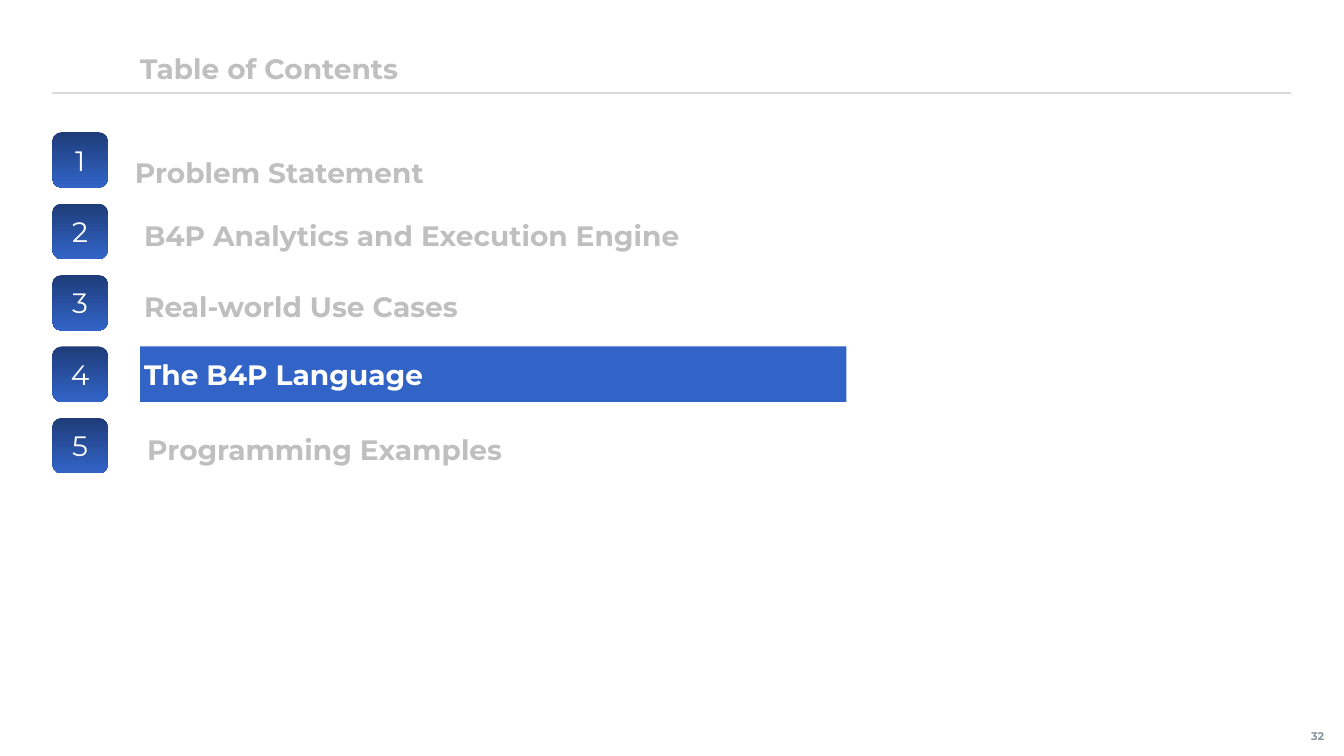
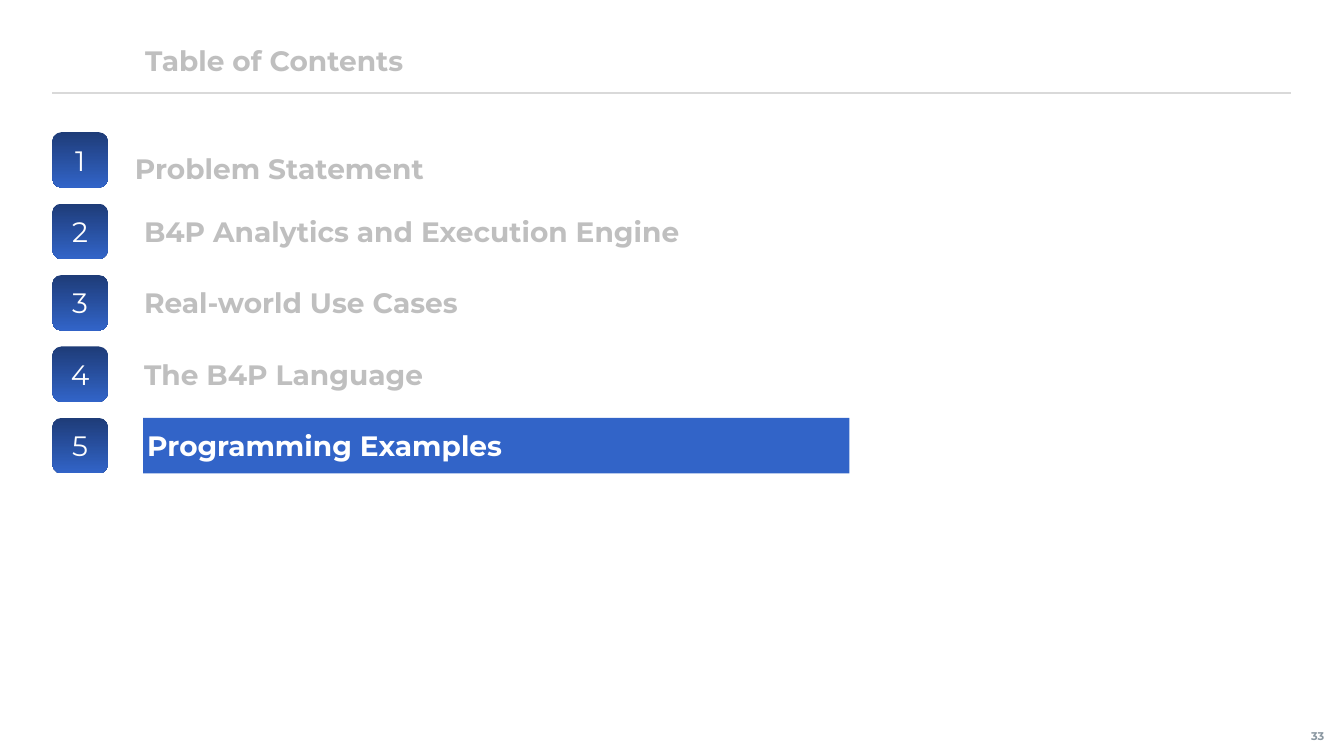
from dataclasses import dataclass

from pptx import Presentation
from pptx.dml.color import RGBColor as RGB
from pptx.enum.shapes import MSO_CONNECTOR as Connector, MSO_SHAPE as Preset
from pptx.enum.text import MSO_ANCHOR as Anchor, PP_ALIGN as Align
from pptx.oxml.ns import qn
from pptx.util import Cm, Pt
from lxml.etree import SubElement


@dataclass(frozen=True)
class Theme:
    font: str = "Montserrat"
    accent: RGB = RGB(0x32, 0x64, 0xC8)
    accent_dark: RGB = RGB(0x1E, 0x3C, 0x78)
    muted: RGB = RGB(0xBF, 0xBF, 0xBF)
    rule: RGB = RGB(0xD9, 0xD9, 0xD9)
    page: RGB = RGB(0x89, 0x96, 0xA0)
    white: RGB = RGB(0xFF, 0xFF, 0xFF)
    text_size: Pt = Pt(20)
    page_size: Pt = Pt(8)


THEME = Theme()

# Agenda grid, in centimetres
MARGIN = 1.32
RIGHT_EDGE = 32.54
RULE_TOP = 2.34
FIRST_ROW = 3.33
ROW_STEP = 1.8
ROW_HEIGHT = 1.4
LABEL_WIDTH = 17.8
INSET = 0.1

# Chapter, left edge of its label, extra drop below its badge
CHAPTERS = [
    ("Problem Statement", 3.3, 0.2),
    ("B4P Analytics and Execution Engine", 3.53, 0),
    ("Real-world Use Cases", 3.53, 0),
    ("The B4P Language", 3.53, 0),
    ("Programming Examples", 3.61, 0),
]

# Page number, current chapter, title position, drop of the inactive labels
AGENDAS = [
    (32, 4, (3.43, 1.02), 0.1),
    (33, 5, (3.56, 0.81), 0),
]


def apply(target, values):
    for name, value in values.items():
        setattr(target, name, value)


def write(shape, text, color, size=THEME.text_size, bold=True,
          align=Align.LEFT, wrap=False, insets=(INSET,) * 4):
    left, top, right, bottom = map(Cm, insets)
    frame = shape.text_frame
    apply(frame, {
        "word_wrap": wrap, "vertical_anchor": Anchor.MIDDLE,
        "margin_left": left, "margin_top": top,
        "margin_right": right, "margin_bottom": bottom,
    })
    line = frame.paragraphs[0]
    line.alignment = align
    run = line.add_run()
    run.text = text
    apply(run.font, {"name": THEME.font, "size": size, "bold": bold})
    run.font.color.rgb = color


def add_box(slide, preset, left, top, width, height):
    box = slide.shapes.add_shape(preset, Cm(left), Cm(top), Cm(width), Cm(height))
    box.shadow.inherit = False
    box.line.fill.background()
    return box


def add_label(slide, text, left, top, active=False):
    area = (left, top, LABEL_WIDTH, ROW_HEIGHT)
    if active:
        label = add_box(slide, Preset.RECTANGLE, *area)
        label.fill.solid()
        label.fill.fore_color.rgb = THEME.accent
    else:
        label = slide.shapes.add_textbox(*map(Cm, area))
    write(label, text, THEME.white if active else THEME.muted)


def add_badge(slide, number, top):
    badge = add_box(slide, Preset.ROUNDED_RECTANGLE, MARGIN, top, ROW_HEIGHT, ROW_HEIGHT)
    badge.fill.gradient()
    badge.fill.gradient_angle = 270
    for stop, color in zip(badge.fill.gradient_stops, (THEME.accent_dark, THEME.accent)):
        stop.color.rgb = color
    write(badge, str(number), THEME.white, bold=False, align=Align.CENTER, wrap=True)


def add_rule(slide):
    rule = slide.shapes.add_connector(
        Connector.STRAIGHT, Cm(MARGIN), Cm(RULE_TOP), Cm(RIGHT_EDGE), Cm(RULE_TOP))
    rule.line.width = Pt(1)
    rule.line.color.rgb = THEME.rule
    SubElement(rule._element.spPr, qn("a:effectLst"))


def add_page_number(slide, page):
    corner = slide.shapes.add_textbox(Cm(32.74), Cm(18.06), Cm(1.14), Cm(0.99))
    write(corner, str(page), THEME.page, THEME.page_size,
          align=Align.CENTER, insets=(0, 0.13, 0.2, 0.13))


def add_agenda(deck, page, current, title_at, drop):
    slide = deck.slides.add_slide(deck.slide_layouts[6])
    # Frame shared by all slides
    add_rule(slide)
    add_page_number(slide, page)
    add_label(slide, "Table of Contents", *title_at)
    # Numbered chapters
    for number, (chapter, left, extra) in enumerate(CHAPTERS, 1):
        top = FIRST_ROW + (number - 1) * ROW_STEP
        active = number == current
        add_badge(slide, number, top)
        add_label(slide, chapter, left, top if active else top + drop + extra, active)


def main():
    deck = Presentation()
    apply(deck, {"slide_width": Cm(33.87), "slide_height": Cm(19.05)})
    for agenda in AGENDAS:
        add_agenda(deck, *agenda)
    deck.save("out.pptx")


if __name__ == "__main__":
    main()
